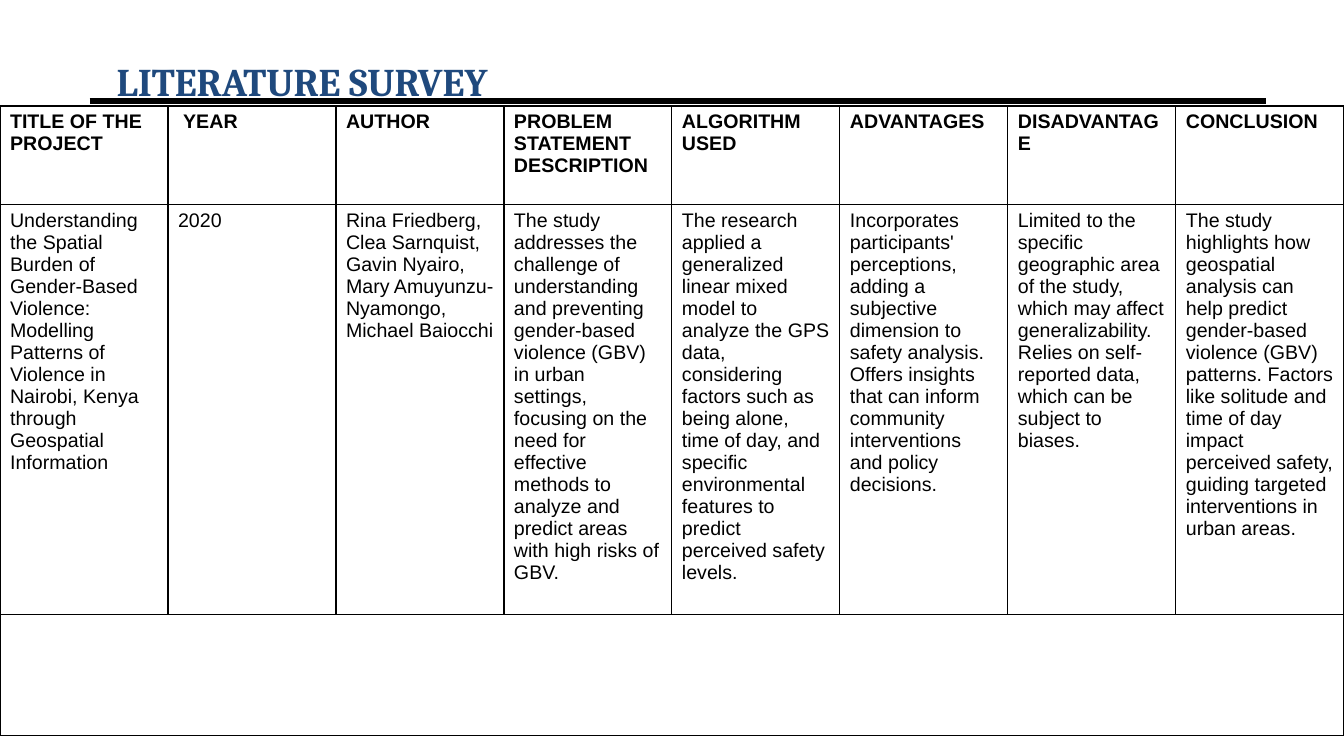
from lxml.etree import SubElement
from pptx import Presentation
from pptx.dml.color import RGBColor
from pptx.enum.shapes import MSO_CONNECTOR
from pptx.enum.text import MSO_ANCHOR
from pptx.oxml.ns import qn
from pptx.util import Cm, Pt

BLACK = RGBColor(0x00, 0x00, 0x00)
WHITE = RGBColor(0xFF, 0xFF, 0xFF)
NAVY = RGBColor(0x1F, 0x49, 0x7D)

SLIDE_WIDTH, SLIDE_HEIGHT = Cm(33.87), Cm(19.05)
MARGIN, CONTENT_WIDTH = Cm(2.26), Cm(29.64)
ROW_HEIGHTS = [Cm(2.48), Cm(9.68), Cm(3.05)]

# Each column: heading, then the paragraphs of the survey entry
COLUMNS = [
    ("TITLE OF THE PROJECT", [
        "Understanding the Spatial Burden of Gender-Based Violence: Modelling "
        "Patterns of Violence in Nairobi, Kenya through Geospatial Information"]),
    (" YEAR", ["2020"]),
    ("AUTHOR", [
        "Rina Friedberg, Clea Sarnquist, Gavin Nyairo, Mary Amuyunzu-Nyamongo, "
        "Michael Baiocchi"]),
    ("PROBLEM STATEMENT DESCRIPTION", [
        "The study addresses the challenge of understanding and preventing "
        "gender-based violence (GBV) in urban settings, focusing on the need for "
        "effective methods to analyze and predict areas with high risks of GBV."]),
    ("ALGORITHM USED", [
        "The research applied a generalized linear mixed model to analyze the GPS "
        "data, considering factors such as being alone, time of day, and specific "
        "environmental features to predict perceived safety levels."]),
    ("ADVANTAGES", [
        "Incorporates participants' perceptions, adding a subjective dimension to "
        "safety analysis.",
        "Offers insights that can inform community interventions and policy "
        "decisions."]),
    ("DISADVANTAGE", [
        "Limited to the specific geographic area of the study, which may affect "
        "generalizability. Relies on self-reported data, which can be subject to "
        "biases."]),
    ("CONCLUSION", [
        "The study highlights how geospatial analysis can help predict "
        "gender-based violence (GBV) patterns. Factors like solitude and time of "
        "day impact perceived safety, guiding targeted interventions in urban "
        "areas."]),
]


def add_run(paragraph, text, font_name, size, color, bold):
    run = paragraph.add_run()
    run.text = text
    run.font.name = font_name
    run.font.size = Pt(size)
    run.font.color.rgb = color
    run.font.bold = bold


def add_rule(slide, top):
    rule = slide.shapes.add_connector(
        MSO_CONNECTOR.STRAIGHT, MARGIN, top, MARGIN + CONTENT_WIDTH, top)
    rule.line.color.rgb = BLACK
    rule.line.width = Pt(4.5)
    SubElement(rule._element.spPr, qn("a:effectLst"))


def add_title(slide, text):
    shape = slide.shapes.add_textbox(MARGIN, Cm(0.76), CONTENT_WIDTH, Cm(1.35))
    frame = shape.text_frame
    frame.word_wrap = True
    frame.vertical_anchor = MSO_ANCHOR.MIDDLE
    paragraph = frame.paragraphs[0]
    paragraph.line_spacing = 2.0
    paragraph._p.get_or_add_pPr().set("marL", str(Cm(0.43)))
    add_run(paragraph, text, "Cambria", 28, NAVY, True)


def style_cell(cell):
    """White fill and a thin black line on all four sides."""
    properties = cell._tc.get_or_add_tcPr()
    for side in ("a:lnL", "a:lnR", "a:lnT", "a:lnB"):
        line = SubElement(properties, qn(side), w=str(Pt(1)))
        fill = SubElement(line, qn("a:solidFill"))
        SubElement(fill, qn("a:srgbClr"), val=str(BLACK))
    cell.fill.solid()
    cell.fill.fore_color.rgb = WHITE


def fill_cell(cell, texts, bold):
    frame = cell.text_frame
    for index, text in enumerate(texts):
        paragraph = frame.add_paragraph() if index else frame.paragraphs[0]
        add_run(paragraph, text, "Arial", 14, BLACK, bold)


def add_survey_table(slide, top):
    table = slide.shapes.add_table(
        len(ROW_HEIGHTS), len(COLUMNS), 0, top, SLIDE_WIDTH, sum(ROW_HEIGHTS)).table
    table.first_row = False
    table.horz_banding = False
    for row, height in zip(table.rows, ROW_HEIGHTS):
        row.height = height
    for cell in table.iter_cells():
        style_cell(cell)
    for index, (heading, entry) in enumerate(COLUMNS):
        fill_cell(table.cell(0, index), [heading], True)
        fill_cell(table.cell(1, index), entry, False)
    # The empty last row is one wide cell
    table.cell(2, 0).merge(table.cell(2, len(COLUMNS) - 1))


def main():
    presentation = Presentation()
    presentation.slide_width = SLIDE_WIDTH
    presentation.slide_height = SLIDE_HEIGHT
    slide = presentation.slides.add_slide(presentation.slide_layouts[6])

    # Heading with its rule
    add_rule(slide, Cm(2.54))
    add_title(slide, "LITERATURE SURVEY")

    # Survey
    add_survey_table(slide, Cm(2.67))

    presentation.save("out.pptx")


if __name__ == "__main__":
    main()
